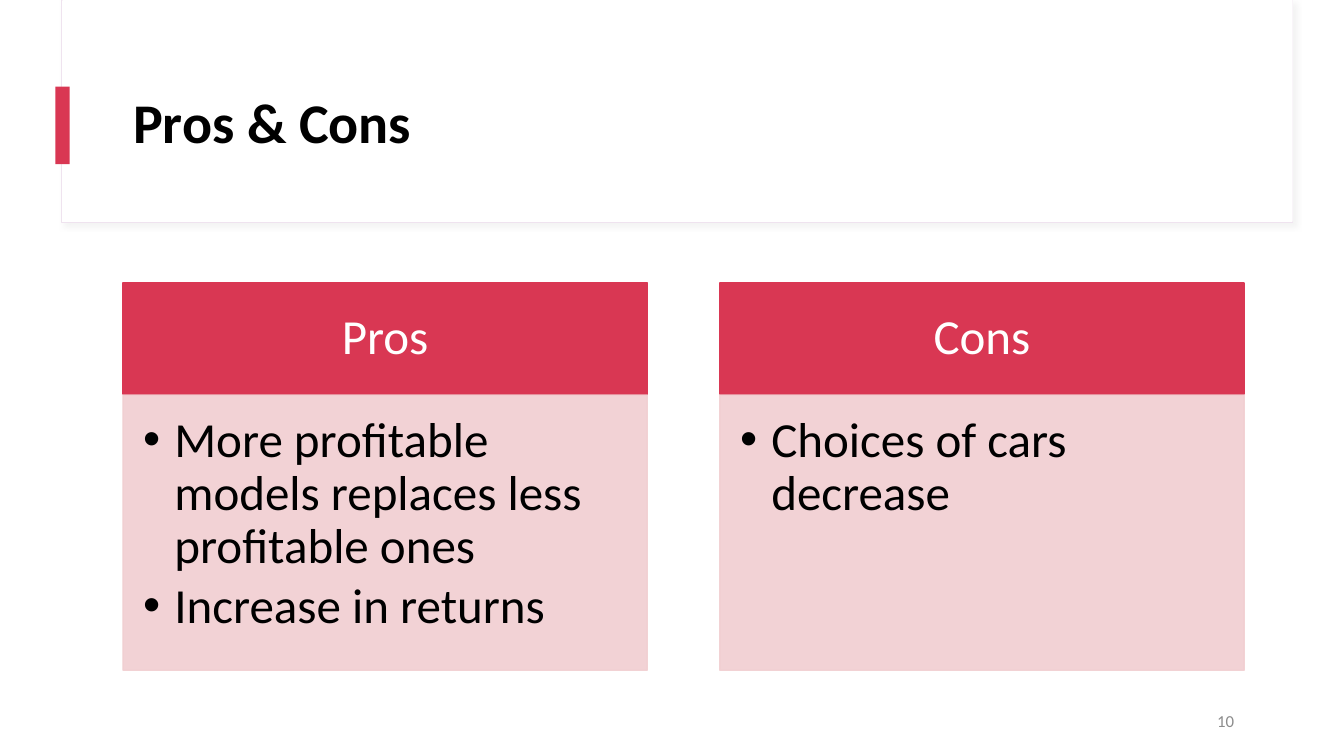
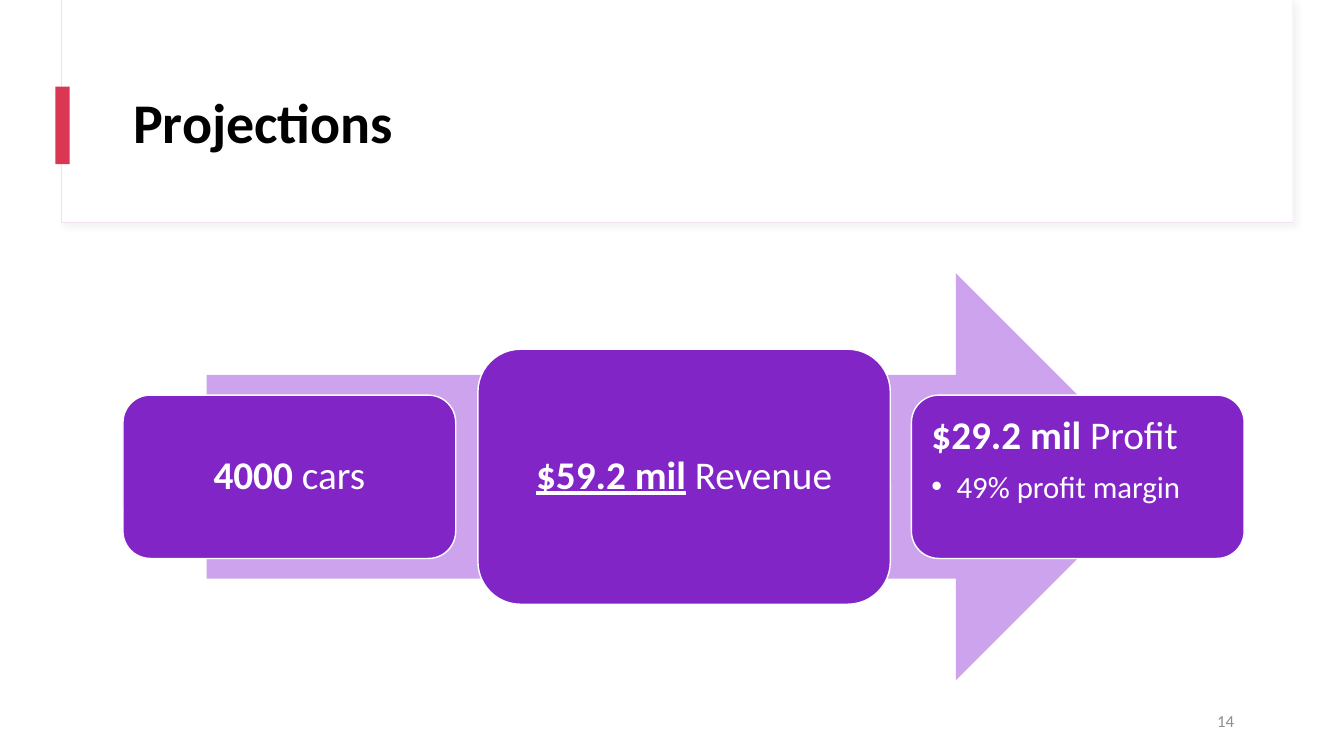
from lxml.etree import SubElement
from pptx import Presentation
from pptx.dml.color import RGBColor
from pptx.enum.shapes import MSO_SHAPE
from pptx.enum.text import MSO_ANCHOR, MSO_AUTO_SIZE, PP_ALIGN
from pptx.oxml.ns import qn
from pptx.util import Inches, Pt

FONT = "Calibri"
RED, PINK = "D93753", "F1CED1"
PURPLE, LILAC = "8225C7", "CEA3EE"
WHITE, BLACK, GREY = "FFFFFF", "000000", "8C8C8C"
FRAME, SHADOW = "EFE3EF", "D9D9D9"
LEFT, WIDTH = 1.22, 11.12


def color(value):
    return RGBColor.from_string(value)


def apply(target, values):
    for name, value in values.items():
        setattr(target, name, value)


def add_child(parent, tag, **values):
    return SubElement(parent, qn(tag), {name: str(value) for name, value in values.items()})


class Slides:
    def __init__(self):
        self.deck = Presentation()
        apply(self.deck, {"slide_width": Inches(13.33), "slide_height": Inches(7.5)})
        self.page = None

    def start(self, title, number):
        self.page = self.deck.slides.add_slide(self.deck.slide_layouts[5])
        frame = self.shape(0.61, 0, 12.21, 2.21, WHITE, line=FRAME, weight=0.75)
        self.cast_shadow(frame)
        self.shape(0.62, 0, 12.2, 2.2, WHITE)
        self.shape(0.55, 0.86, 0.14, 0.77, RED)
        box = self.page.shapes.title
        place = {"left": LEFT, "top": 0.6, "width": WIDTH, "height": 1.29}
        apply(box, {name: Inches(value) for name, value in place.items()})
        box.element.getparent().append(box.element)
        self.set_text(box, [[(title, {"bold": True})]], 40, BLACK, align=PP_ALIGN.LEFT)
        footer = self.page.shapes.add_textbox(Inches(9.34), Inches(6.95), Inches(3), Inches(0.4))
        self.set_text(footer, [[(number, {})]], 12, GREY, align=PP_ALIGN.RIGHT, spacing=1)

    def cast_shadow(self, shape):
        effects = shape.element.spPr.find(qn("a:effectLst"))
        shadow = add_child(effects, "a:outerShdw", blurRad=Pt(4), dist=Pt(3),
                           dir=45 * 60000, algn="tl", rotWithShape=0)
        shade = add_child(shadow, "a:srgbClr", val=SHADOW)
        add_child(shade, "a:alpha", val=30000)

    def shape(self, left, top, width, height, fill, line=None, weight=1,
              kind=MSO_SHAPE.RECTANGLE, opacity=100):
        shape = self.page.shapes.add_shape(
            kind, Inches(left), Inches(top), Inches(width), Inches(height))
        shape.shadow.inherit = False
        shape.fill.solid()
        shape.fill.fore_color.rgb = color(fill)
        if line:
            shape.line.color.rgb = color(line)
            shape.line.width = Pt(weight)
        else:
            shape.line.fill.background()
        if opacity < 100:
            for shade in shape.element.spPr.iter(qn("a:srgbClr")):
                add_child(shade, "a:alpha", val=opacity * 1000)
        return shape

    def set_text(self, shape, paras, size, ink, align=PP_ALIGN.CENTER,
                 anchor=MSO_ANCHOR.MIDDLE, insets=(0.1, 0.05, 0.1, 0.05),
                 spacing=0.9, after=0):
        frame = shape.text_frame
        apply(frame, {"word_wrap": True, "auto_size": MSO_AUTO_SIZE.NONE,
                      "vertical_anchor": anchor})
        sides = ("margin_left", "margin_top", "margin_right", "margin_bottom")
        apply(frame, {side: Inches(inset) for side, inset in zip(sides, insets)})
        for index, spans in enumerate(paras):
            para = frame.add_paragraph() if index else frame.paragraphs[0]
            apply(para, {"alignment": align, "line_spacing": spacing,
                         "space_before": Pt(0), "space_after": Pt(after)})
            for text, style in spans:
                span = para.add_run()
                span.text = text
                apply(span.font, {"name": FONT, "size": Pt(size), "bold": False, **style})
                span.font.color.rgb = color(ink)
        return frame.paragraphs

    def bullet(self, para, indent):
        settings = para._p.get_or_add_pPr()
        settings.set("marL", str(Inches(indent)))
        settings.set("indent", str(-Inches(indent)))
        add_child(settings, "a:buFont", typeface="Arial")
        add_child(settings, "a:buChar", char="•")

    def column(self, left, heading, points):
        head = self.shape(left, 2.81, 5.2, 1.1, RED, line=RED)
        self.set_text(head, [[(heading, {})]], 35, WHITE, insets=(0.27, 0.16, 0.27, 0.16))
        body = self.shape(left, 3.92, 5.2, 2.73, PINK, line=PINK, opacity=90)
        paras = self.set_text(body, [[(point, {})] for point in points], 35, BLACK,
                              align=PP_ALIGN.LEFT, anchor=MSO_ANCHOR.TOP,
                              insets=(0.2, 0.2, 0.27, 0.31), after=5)
        for para in paras:
            self.bullet(para, 0.31)

    def card(self, left, width, height, paras, **layout):
        middle = 4.73
        card = self.shape(left, middle - height / 2, width, height, PURPLE, line=WHITE,
                          kind=MSO_SHAPE.ROUNDED_RECTANGLE)
        return self.set_text(card, paras, 28, WHITE, insets=(0.12,) * 4, after=10, **layout)


def main():
    slides = Slides()
    bold = {"bold": True}

    slides.start("Pros & Cons", "10")
    columns = {
        "Pros": ["More profitable models replaces less profitable ones", "Increase in returns"],
        "Cons": ["Choices of cars decrease"],
    }
    for index, (heading, points) in enumerate(columns.items()):
        slides.column(LEFT + index * 5.92, heading, points)

    slides.start("Projections", "14")
    slides.shape(2.05, 2.71, 9.45, 4.04, LILAC, kind=MSO_SHAPE.RIGHT_ARROW)
    slides.card(LEFT, 3.3, 1.62, [[("4000", bold), (" cars", {})]])
    slides.card(4.74, 4.09, 2.53,
                [[("$59.2 mil", {"bold": True, "underline": True}), (" Revenue", {})]])
    profit = slides.card(
        9.04, 3.3, 1.62,
        [[("$29.2 mil ", bold), ("Profit", {})], [("49% profit margin", {"size": Pt(22)})]],
        align=PP_ALIGN.LEFT, anchor=MSO_ANCHOR.TOP)
    slides.bullet(profit[1], 0.25)

    slides.deck.save("out.pptx")


if __name__ == "__main__":
    main()
